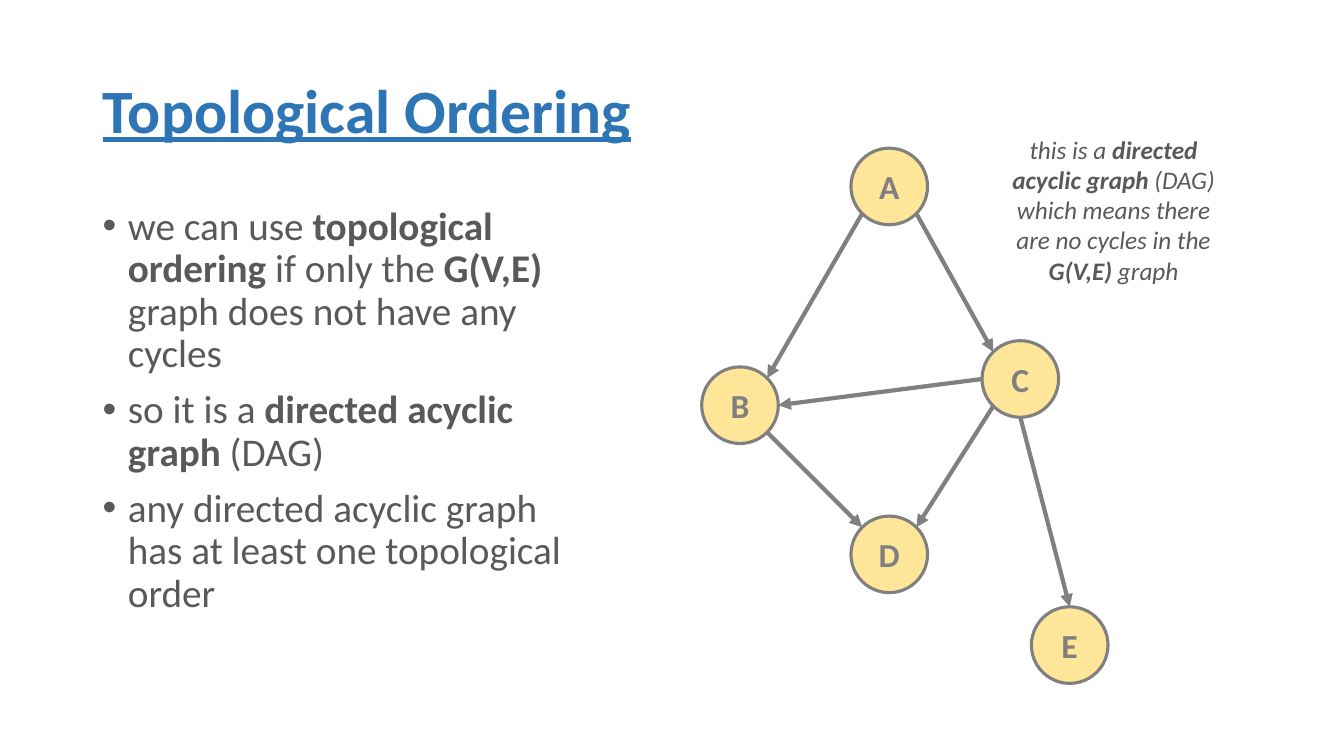
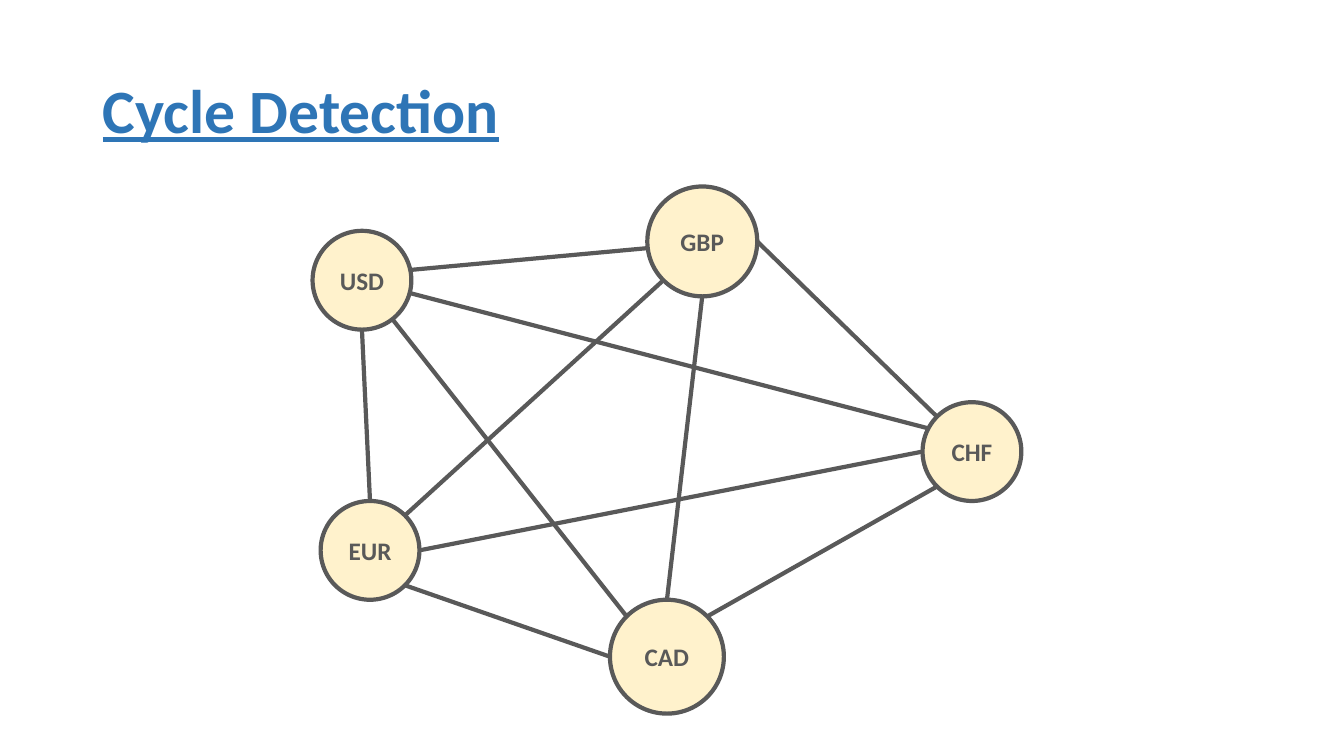
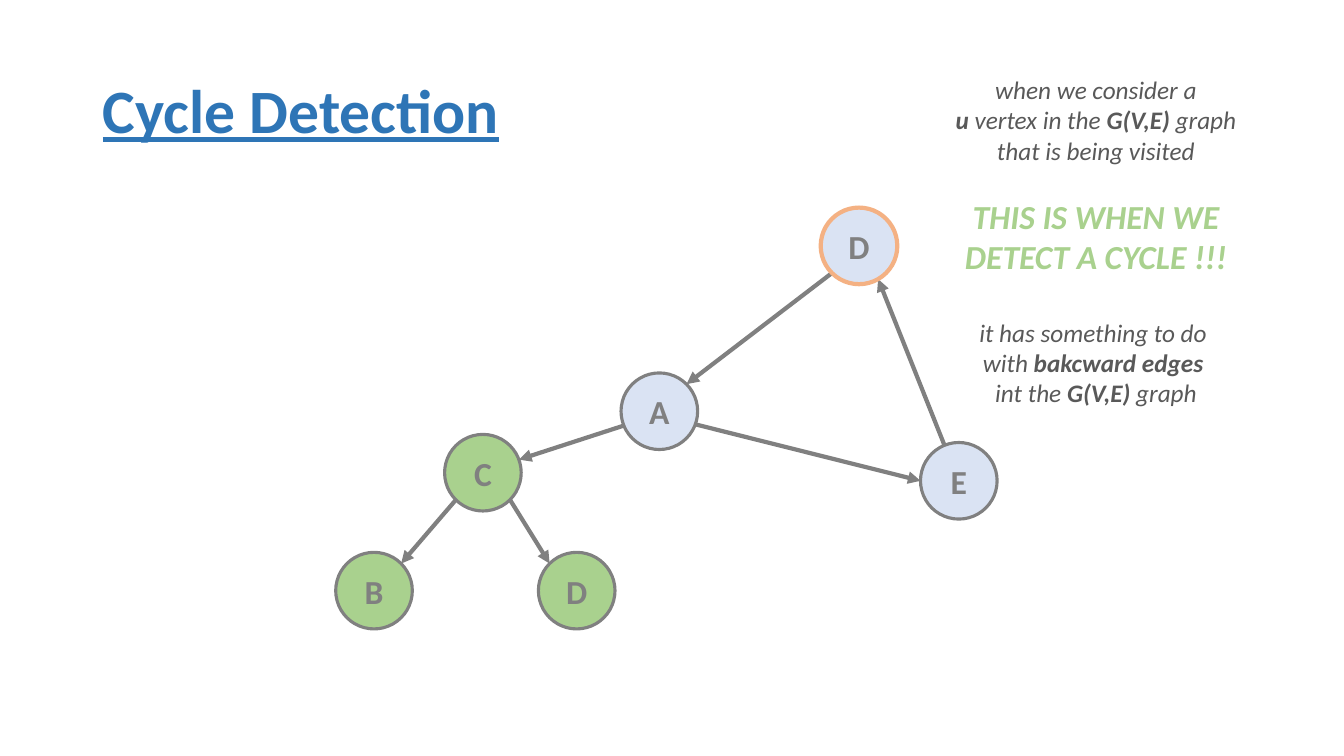
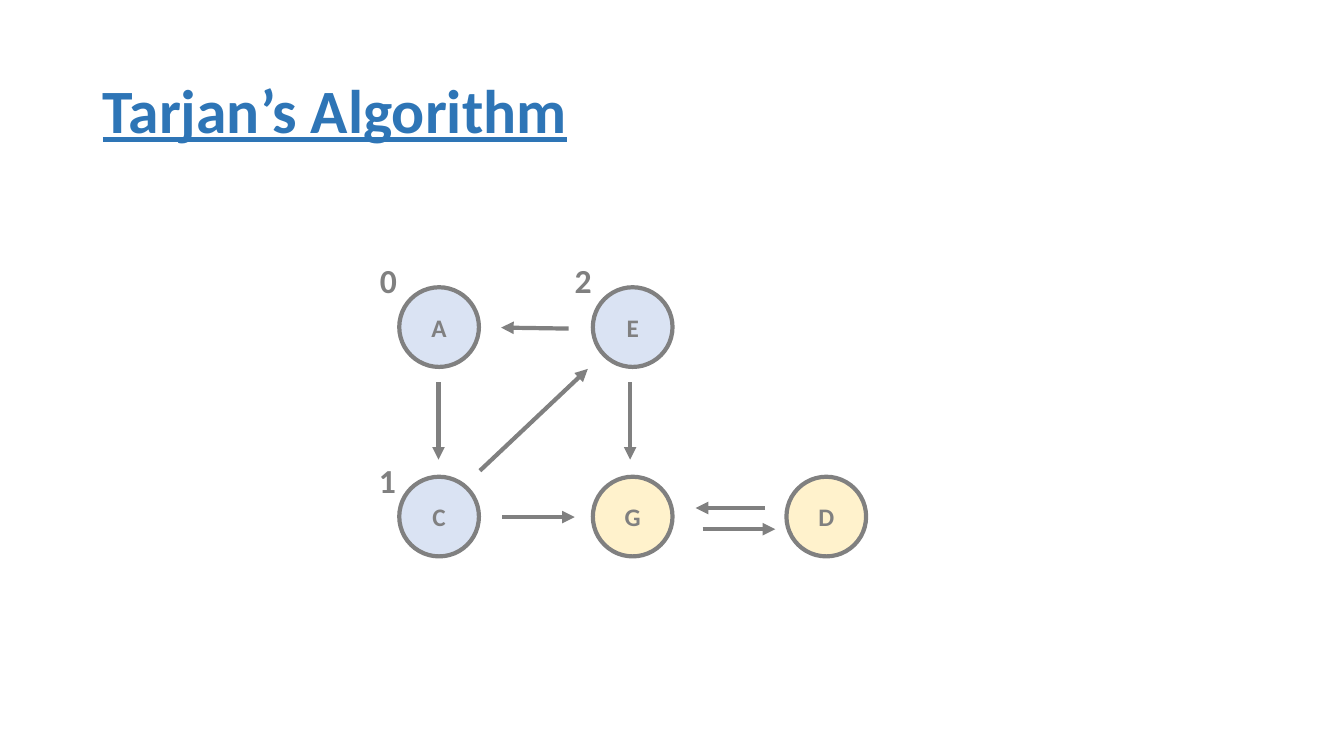
from math import cos, radians, sin

from lxml import etree
from pptx import Presentation
from pptx.dml.color import RGBColor
from pptx.enum.shapes import MSO_CONNECTOR, MSO_SHAPE
from pptx.enum.text import MSO_ANCHOR, PP_ALIGN
from pptx.oxml.ns import qn
from pptx.util import Inches, Pt

ELLIPSE = MSO_SHAPE.OVAL
STRAIGHT = MSO_CONNECTOR.STRAIGHT
MIDDLE = MSO_ANCHOR.MIDDLE
LEFT, CENTER = PP_ALIGN.LEFT, PP_ALIGN.CENTER

TITLE_BLUE = RGBColor(0x2E, 0x75, 0xB6)
DARK_GRAY = RGBColor(0x59, 0x59, 0x59)
GRAY = RGBColor(0x80, 0x80, 0x80)
GOLD = RGBColor(0xFF, 0xE6, 0x99)
CREAM = RGBColor(0xFF, 0xF2, 0xCC)
PALE_BLUE = RGBColor(0xDA, 0xE3, 0xF3)
GREEN = RGBColor(0xA9, 0xD1, 0x8E)
ORANGE = RGBColor(0xF4, 0xB1, 0x83)

TITLE_ONLY = 5
FONT = "Calibri"
TITLE_FORMAT = {"size": Pt(44), "bold": True, "underline": True, "color": TITLE_BLUE}
BODY_FORMAT = {"size": Pt(28), "color": DARK_GRAY}
NOTE_FORMAT = {"size": Pt(18), "italic": True, "color": DARK_GRAY}
ALERT_FORMAT = {"size": Pt(24), "italic": True, "color": GREEN}
LABEL_FORMAT = {"size": Pt(24), "bold": True, "color": GRAY}
SMALL_LABEL_FORMAT = {**LABEL_FORMAT, "size": Pt(18)}
CURRENCY_FORMAT = {**SMALL_LABEL_FORMAT, "color": DARK_GRAY}


# Text helpers
def apply_format(font, text_format):
    font.name = FONT
    for name, value in text_format.items():
        if name == "color":
            font.color.rgb = value
        else:
            setattr(font, name, value)


def write(paragraph, text, text_format):
    """Add runs; the parts between asterisks are bold."""
    for index, part in enumerate(text.split("*")):
        if part:
            run = paragraph.add_run()
            run.text = part
            apply_format(run.font, text_format)
            if index % 2:
                run.font.bold = True


def paragraphs(frame, count):
    return [frame.paragraphs[0]] + [frame.add_paragraph() for _ in range(count - 1)]


def add_frame(slide, left, top, width, height, wrap=False):
    box = slide.shapes.add_textbox(*map(Inches, (left, top, width, height)))
    box.text_frame.word_wrap = wrap
    return box.text_frame


# Shared slide parts
def add_titled_slide(deck, text):
    slide = deck.slides.add_slide(deck.slide_layouts[TITLE_ONLY])
    title = slide.shapes.title
    title.left, title.top, title.width, title.height = map(
        Inches, (0.92, 0.4, 11.5, 1.45))
    title.text_frame.vertical_anchor = MIDDLE
    paragraph = title.text_frame.paragraphs[0]
    paragraph.alignment = LEFT
    paragraph.line_spacing = 0.9
    write(paragraph, text, TITLE_FORMAT)
    return slide


def add_bullets(slide, left, top, width, height, items):
    frame = add_frame(slide, left, top, width, height, wrap=True)
    for index, (paragraph, item) in enumerate(zip(paragraphs(frame, len(items)), items)):
        paragraph.line_spacing = 0.9
        if index:
            paragraph.space_before = Pt(10)
        properties = paragraph._p.get_or_add_pPr()
        properties.set("marL", str(Inches(0.25)))
        properties.set("indent", str(-Inches(0.25)))
        etree.SubElement(properties, qn("a:buFont")).set("typeface", "Arial")
        etree.SubElement(properties, qn("a:buChar")).set("char", "•")
        write(paragraph, item, BODY_FORMAT)


def add_note(slide, left, top, width, height, groups):
    """Centred lines in groups of (space before, format, lines)."""
    frame = add_frame(slide, left, top, width, height)
    lines = [(gap if index == 0 else 0, text_format, text)
             for gap, text_format, texts in groups
             for index, text in enumerate(texts)]
    for paragraph, (gap, text_format, text) in zip(paragraphs(frame, len(lines)), lines):
        paragraph.alignment = CENTER
        if gap:
            paragraph.space_before = Pt(gap)
        write(paragraph, text, text_format)


# Graph parts
def add_edge(slide, start, end, color=GRAY, arrow=True):
    edge = slide.shapes.add_connector(STRAIGHT, *map(Inches, (*start, *end)))
    edge.line.color.rgb = color
    edge.line.width = Pt(3)
    properties = edge._element.spPr
    if arrow:
        etree.SubElement(properties.find(qn("a:ln")), qn("a:tailEnd")).set("type", "triangle")
    etree.SubElement(properties, qn("a:effectLst"))


def add_node(slide, left, top, size, label, fill, outline, weight, text_format):
    node = slide.shapes.add_shape(ELLIPSE, *map(Inches, (left, top, size, size)))
    node.shadow.inherit = False
    node.fill.solid()
    node.fill.fore_color.rgb = fill
    node.line.color.rgb = outline
    node.line.width = Pt(weight)
    frame = node.text_frame
    frame.word_wrap = False
    frame.vertical_anchor = MIDDLE
    for side in ("left", "right", "top", "bottom"):
        setattr(frame, f"margin_{side}", 0)
    frame.paragraphs[0].alignment = CENTER
    write(frame.paragraphs[0], label, text_format)


def rim_point(left, top, size, angle):
    """Point on a node's rim, counterclockwise from the right."""
    radius = size / 2
    return (left + radius + radius * cos(radians(angle)),
            top + radius - radius * sin(radians(angle)))


def add_graph(slide, left, top, nodes, edges, outline=GRAY, weight=2.25,
              text_format=LABEL_FORMAT, arrow=True, highlighted=None):
    """nodes: key -> (x, y, size, fill); edges: (key, angle, key, angle).

    The first word of a key is the label of its node.
    """
    circles = {key: (left + x, top + y, size)
               for key, (x, y, size, _) in nodes.items()}
    for source, source_angle, target, target_angle in edges:
        add_edge(slide, rim_point(*circles[source], source_angle),
                 rim_point(*circles[target], target_angle), outline, arrow)
    for key, circle in circles.items():
        ring = (ORANGE, 3) if key == highlighted else (outline, weight)
        add_node(slide, *circle, key.split()[0], nodes[key][3], *ring, text_format)


# Slides
def topological_ordering(deck):
    slide = add_titled_slide(deck, "Topological Ordering")
    add_bullets(slide, 0.92, 2, 5.11, 5.34, [
        "we can use *topological ordering *if only the* G(V,E)* graph does not have any cycles",
        "so it is a *directed acyclic graph *(DAG)",
        "any directed acyclic graph has at least one topological order",
    ])
    places = {"A": (1.48, 0), "B": (0, 2.17), "C": (2.78, 1.91),
              "D": (1.48, 3.65), "E": (3.27, 4.55)}
    nodes = {key: (*place, 0.76, GOLD) for key, place in places.items()}
    add_graph(slide, 6.96, 1.47, nodes, [
        ("A", 225, "B", 45), ("A", 315, "C", 135), ("C", 270, "E", 90),
        ("C", 225, "D", 45), ("C", 180, "B", 0), ("B", 315, "D", 135),
    ])
    add_note(slide, 9.93, 1.28, 2.23, 1.62, [(0, NOTE_FORMAT, [
        "this is a *directed*", "*acyclic graph* (DAG)", "which means there",
        "are no cycles in the", "*G(V,E)* graph",
    ])])


def currency_graph(deck):
    slide = add_titled_slide(deck, "Cycle Detection")
    nodes = {
        "USD": (0, 0.44, 0.98, CREAM),
        "EUR": (0.08, 3.12, 0.98, CREAM),
        "CHF": (6.05, 2.14, 0.98, CREAM),
        "CAD": (2.95, 4.1, 1.13, CREAM),
        "GBP": (3.32, 0, 1.09, CREAM),
    }
    add_graph(slide, 3.1, 1.85, nodes, [
        ("CAD", 135, "USD", 308), ("CHF", 152, "USD", 345), ("GBP", 187, "USD", 12),
        ("EUR", 45, "GBP", 225), ("EUR", 0, "CHF", 180), ("EUR", 315, "CAD", 180),
        ("EUR", 90, "USD", 270), ("CHF", 135, "GBP", 0), ("CAD", 45, "CHF", 225),
        ("CAD", 90, "GBP", 270),
    ], outline=DARK_GRAY, weight=3, text_format=CURRENCY_FORMAT, arrow=False)


def cycle_found(deck):
    slide = add_titled_slide(deck, "Cycle Detection")
    size = 0.76
    nodes = {
        "D visiting": (4.81, 0, size, PALE_BLUE),
        "B": (0, 3.42, size, GREEN),
        "C": (1.08, 2.25, size, GREEN),
        "A": (2.83, 1.64, size, PALE_BLUE),
        "D visited": (2.01, 3.42, size, GREEN),
        "E": (5.8, 2.33, size, PALE_BLUE),
    }
    add_graph(slide, 3.33, 2.06, nodes, [
        ("A", 202, "C", 20), ("D visiting", 225, "A", 45), ("C", 315, "D visited", 135),
        ("A", 340, "E", 180), ("E", 112, "D visiting", 300), ("C", 225, "B", 45),
    ], highlighted="D visiting")
    add_note(slide, 9.37, 0.69, 3, 3.43, [
        (0, NOTE_FORMAT, ["when we consider a", "*u* vertex in the *G(V,E)* graph",
                          "that is being visited"]),
        (22, ALERT_FORMAT, ["*THIS IS WHEN WE*", "*DETECT A CYCLE !!!*"]),
        (29, NOTE_FORMAT, ["it has something to do ", "with *bakcward edges *",
                           "int the *G(V,E)* graph"]),
    ])


def tarjan(deck):
    slide = add_titled_slide(deck, "Tarjan’s Algorithm")
    left, top = 3.96, 2.85
    column, row, size = 1.92, 1.88, 0.79
    nodes = {
        "A": (0, 0, size, PALE_BLUE),
        "E": (column, 0, size, PALE_BLUE),
        "C": (0, row, size, PALE_BLUE),
        "G": (column, row, size, CREAM),
        "D": (2 * column, row, size, CREAM),
    }
    add_graph(slide, left, top, nodes, [], weight=3, text_format=SMALL_LABEL_FORMAT)
    # Arrows stay clear of the nodes
    for x1, y1, x2, y2 in [
        (3.01, 2.4, 3.73, 2.4), (3.63, 2.19, 2.94, 2.19), (0.8, 1.82, 1.87, 0.81),
        (0.39, 0.94, 0.39, 1.71), (1.68, 0.41, 1.01, 0.4),
        (2.29, 0.94, 2.29, 1.71), (1.02, 2.28, 1.74, 2.28),
    ]:
        add_edge(slide, (left + x1, top + y1), (left + x2, top + y2))
    # Visit numbers
    for number, x, y in [("0", -0.29, -0.32), ("1", -0.3, 1.66), ("2", 1.64, -0.32)]:
        frame = add_frame(slide, left + x, top + y, 0.37, 0.5)
        write(frame.paragraphs[0], number, LABEL_FORMAT)


def main():
    deck = Presentation()
    deck.slide_width, deck.slide_height = Inches(13.33), Inches(7.5)
    for build in (topological_ordering, currency_graph, cycle_found, tarjan):
        build(deck)
    deck.save("out.pptx")


if __name__ == "__main__":
    main()
